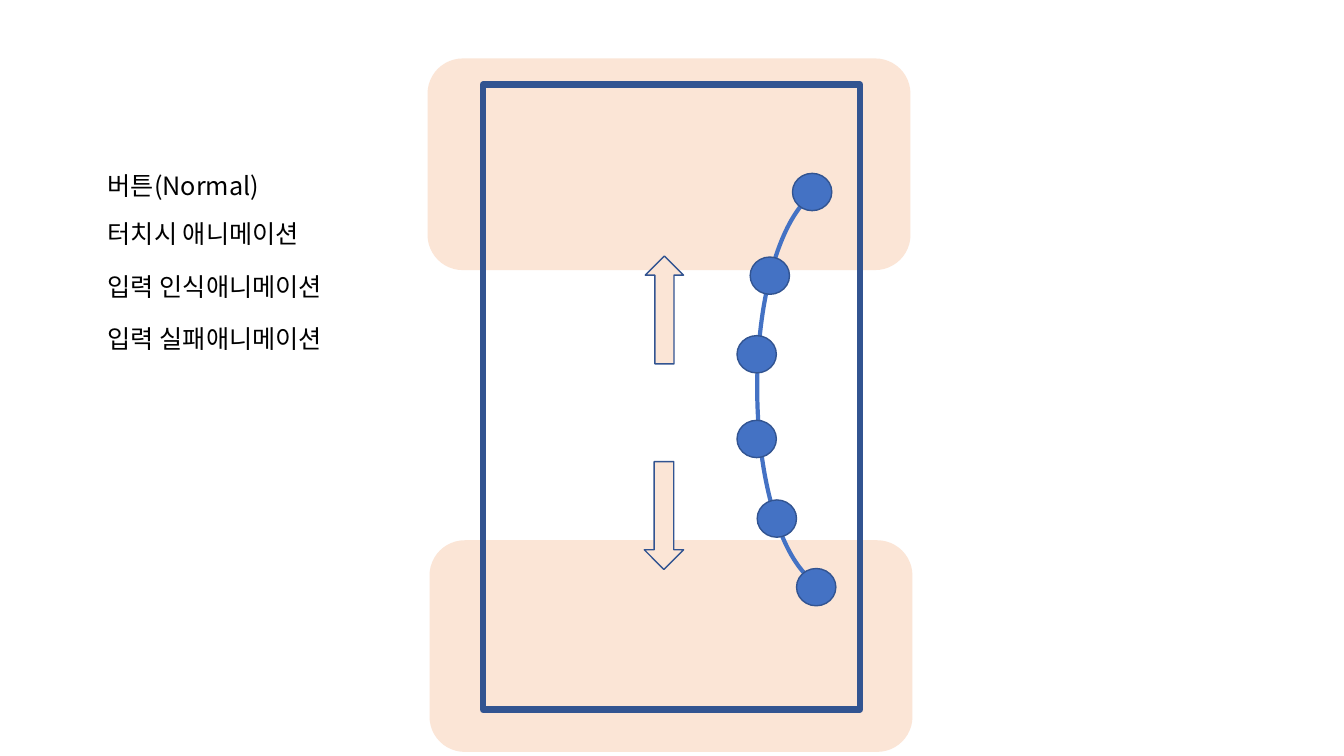
from lxml.etree import SubElement
from pptx import Presentation
from pptx.dml.color import RGBColor
from pptx.enum.shapes import MSO_SHAPE as SHAPE
from pptx.enum.text import MSO_AUTO_SIZE as AUTO
from pptx.oxml.ns import qn
from pptx.util import Inches, Pt

FONT = "Noto Sans CJK KR"
PEACH, BLUE, NAVY, BLACK = "FBE5D6", "4472C4", "325491", "000000"


def color(hex_value):
    """Turn a hex string into a colour."""
    return RGBColor.from_string(hex_value)


def add_shape(s, kind, box, fill=None, line=None, width=1):
    """Add a flat preset shape; without a colour its fill or line is off."""
    sp = s.shapes.add_shape(kind, *map(Inches, box))
    sp.shadow.inherit = False
    if fill:
        sp.fill.solid()
        sp.fill.fore_color.rgb = color(fill)
    else:
        sp.fill.background()
    if line:
        sp.line.color.rgb = color(line)
        sp.line.width = Pt(width)
    else:
        sp.line.fill.background()
    return sp


def add_label(s, text, box):
    """Add one line of text in a text box."""
    tf = s.shapes.add_textbox(*map(Inches, box)).text_frame
    for name, value in {"word_wrap": True, "auto_size": AUTO.SHAPE_TO_FIT_TEXT}.items():
        setattr(tf, name, value)
    r = tf.paragraphs[0].add_run()
    r.text = text
    for name, value in {"name": FONT, "size": Pt(18)}.items():
        setattr(r.font, name, value)
    r.font.color.rgb = color(BLACK)
    SubElement(r.font._element, qn("a:ea"), typeface=FONT)


def add_screen(s, x, y, w, h):
    """Draw the screen frame over its top and bottom touch areas."""
    for dx, dy in ((-0.53, 4.52), (-0.55, -0.26)):
        add_shape(s, SHAPE.ROUNDED_RECTANGLE, (x + dx, y + dy, 4.79, 2.1), PEACH)
    add_shape(s, SHAPE.RECTANGLE, (x, y, w, h), line=NAVY, width=4.5)


def add_button_curve(s, x, y, w, h):
    """Draw the arc and the round buttons along it."""
    arc = add_shape(s, SHAPE.ARC, (x, y, w, h), line=BLUE, width=3)
    arc.rotation = 180
    arc.adjustments[0], arc.adjustments[1] = 164, 52.48
    buttons = ((0.35, -0.13), (-0.07, 0.7), (-0.2, 1.48),
               (-0.2, 2.32), (0, 3.11), (0.39, 3.79))
    for dx, dy in buttons:
        add_shape(s, SHAPE.OVAL, (x + dx, y + dy, 0.39, 0.37), BLUE, NAVY)


def add_swipe_arrows(s, x, y, w, h):
    """Draw the up and down arrows at the two ends of the box."""
    length = 1.07
    add_shape(s, SHAPE.DOWN_ARROW, (x, y + h - length, w, length), PEACH, NAVY)
    add_shape(s, SHAPE.UP_ARROW, (x + 0.01, y, w - 0.01, length), PEACH, NAVY)


def add_state_list(s, x, y, w, h):
    """List the button states down the box."""
    states = (("버튼(Normal)", 0), ("터치시 애니메이션", 0.48),
              ("입력 인식애니메이션", 1), ("입력 실패애니메이션", 1.52))
    for text, dy in states:
        add_label(s, text, (x, y + dy, w, h - 1.52))


def main():
    """Build and save the slide."""
    prs = Presentation()
    prs.slide_width, prs.slide_height = Inches(13.33), Inches(7.5)
    s = prs.slides.add_slide(prs.slide_layouts[6])
    add_screen(s, 4.79, 0.84, 3.74, 6.2)
    add_button_curve(s, 7.51, 1.85, 1.52, 3.99)
    add_swipe_arrows(s, 6.39, 2.54, 0.39, 3.11)
    add_state_list(s, 0.97, 1.64, 3, 1.92)
    prs.save("out.pptx")


main()
